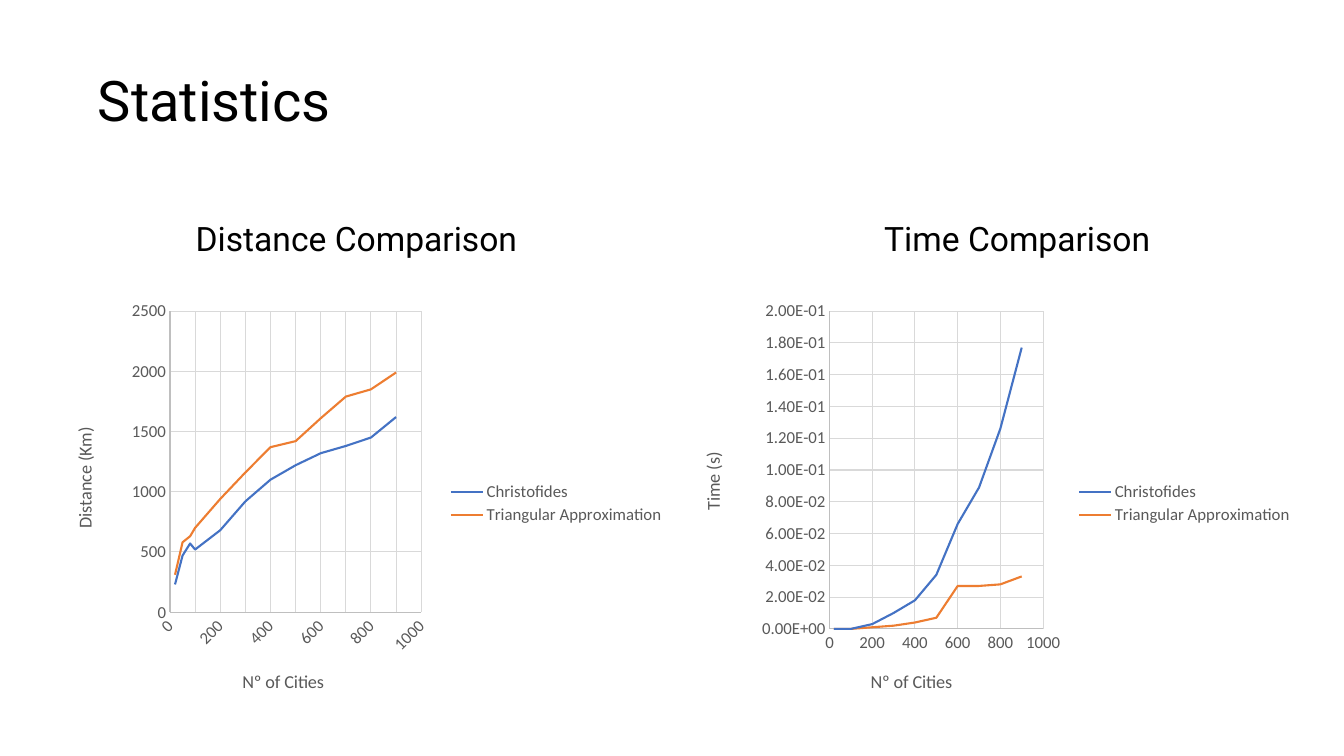
"""Build the Statistics slide with distance and time comparison charts."""
from lxml import etree
from pptx import Presentation
from pptx.chart.data import XyChartData
from pptx.dml.color import RGBColor
from pptx.enum import chart as ch, text as tx
from pptx.oxml import ns
from pptx.util import Inches, Pt

COLORS = {"title": "000000", "label": "595959", "axis": "BFBFBF", "grid": "D9D9D9",
          "Christofides": "4472C4", "Triangular Approximation": "ED7D31"}
CITIES = [20, 50, 80, 100, 200, 300, 400, 500, 600, 700, 800, 900]
COMPARISONS = [
    {"heading": "Distance Comparison", "heading_box": (1.62, 3.83), "left": 0.44,
     "unit": "Distance (Km)", "format": "General", "top": 2500, "step": 500,
     "city_step": 100, "rotation": -45, "plot": (0.2, 0.04, 0.4, 0.72),
     "unit_spot": (0.04, 0.31),
     "results": {
         "Christofides": [230, 470, 570, 520, 680, 920, 1100, 1220, 1320, 1380, 1450, 1620],
         "Triangular Approximation": [310, 580, 630, 700, 940, 1160, 1370, 1420, 1610,
                                      1790, 1850, 1990]}},
    {"heading": "Time Comparison", "heading_box": (8.46, 3.26), "left": 6.67,
     "unit": "Time (s)", "format": "0.00E+00", "top": 0.2, "step": 0.02,
     "city_step": 200, "rotation": 0, "plot": (0.25, 0.04, 0.34, 0.76),
     "unit_spot": (0.04, 0.37),
     "results": {
         "Christofides": [0, 0, 0, 0, 0.003, 0.01, 0.018, 0.034, 0.066, 0.089, 0.126, 0.177],
         "Triangular Approximation": [0, 0, 0, 0, 0.001, 0.002, 0.004, 0.007, 0.027,
                                      0.027, 0.028, 0.033]}},
]


def style(font, size, color, name):
    font.size, font.name, font.bold = Pt(size), name, False
    font.color.rgb = RGBColor.from_string(COLORS[color])


def place(part, index, spot, inner=False):
    for old in part.findall(ns.qn("c:layout")):
        part.remove(old)
    layout = etree.Element(ns.qn("c:layout"))
    manual = etree.SubElement(layout, ns.qn("c:manualLayout"))
    settings = [("layoutTarget", "inner")] if inner else []
    settings += [("xMode", "edge"), ("yMode", "edge"), *zip("xywh", spot)]
    for tag, value in settings:
        etree.SubElement(manual, ns.qn(f"c:{tag}")).set("val", str(value))
    part.insert(index, layout)


deck = Presentation()
deck.slide_width, deck.slide_height = Inches(13.33), Inches(7.5)
slide = deck.slides.add_slide(deck.slide_layouts[5])

headings = [(slide.shapes.title, "Statistics", 40, (0.72, 0.6, 2.81, 0.77))]
for comparison in COMPARISONS:
    left, width = comparison["heading_box"]
    box = [Inches(n) for n in (left, 2.11, width, 0.5)]
    headings.append((slide.shapes.add_textbox(*box), comparison["heading"], 24,
                     (left, 2.11, width, 0.5)))
for heading, words, size, box in headings:
    heading.left, heading.top, heading.width, heading.height = [Inches(n) for n in box]
    frame = heading.text_frame
    frame.text = words
    frame.word_wrap = True
    frame.vertical_anchor = tx.MSO_ANCHOR.TOP
    frame.paragraphs[0].alignment = tx.PP_ALIGN.CENTER
    style(frame.paragraphs[0].runs[0].font, size, "title", "Roboto")

for comparison in COMPARISONS:
    data = XyChartData()
    for algorithm, results in comparison["results"].items():
        points = data.add_series(algorithm)
        for cities, result in zip(CITIES, results):
            points.add_data_point(cities, result)
    chart = slide.shapes.add_chart(
        ch.XL_CHART_TYPE.XY_SCATTER_SMOOTH_NO_MARKERS, Inches(comparison["left"]),
        Inches(2.92), Inches(6.23), Inches(4.15), data).chart
    style(chart.font, 12, "label", "Calibri")
    chart.has_title = False
    chart.plots[0].vary_by_categories = False
    for curve in chart.plots[0].series:
        curve.smooth = True
        curve.marker.style = ch.XL_MARKER_STYLE.NONE
        curve.format.line.width = Pt(1.5)
        curve.format.line.color.rgb = RGBColor.from_string(COLORS[curve.name])

    chart.has_legend = True
    chart.legend.position = ch.XL_LEGEND_POSITION.RIGHT
    chart.legend.include_in_layout = False
    style(chart.legend.font, 12, "label", "Calibri")
    place(chart.legend._element, 1, (0.64, 0.44, 0.35, 0.12))
    place(chart.plots[0]._element.getparent(), 0, comparison["plot"], inner=True)

    axes = [
        (chart.category_axis, "Nº of Cities", (0.31, 0.89), 0, 1000,
         comparison["city_step"], "General", comparison["rotation"]),
        (chart.value_axis, comparison["unit"], comparison["unit_spot"], -90,
         comparison["top"], comparison["step"], comparison["format"], 0),
    ]
    for axis, caption, spot, turn, top, step, number_format, label_turn in axes:
        axis.minimum_scale, axis.maximum_scale, axis.major_unit = 0, top, step
        axis.major_tick_mark = axis.minor_tick_mark = ch.XL_TICK_MARK.NONE
        axis.has_major_gridlines = True
        for line, color in ((axis.format.line, "axis"),
                            (axis.major_gridlines.format.line, "grid")):
            line.width = Pt(0.75)
            line.color.rgb = RGBColor.from_string(COLORS[color])
        axis.tick_labels.number_format = number_format
        axis.tick_labels.number_format_is_linked = False
        style(axis.tick_labels.font, 12, "label", "Calibri")
        label_body = axis._element.find(f"{ns.qn('c:txPr')}/{ns.qn('a:bodyPr')}")
        label_body.set("rot", str(label_turn * 60000))
        frame = axis.axis_title.text_frame
        frame.text = caption
        style(frame.paragraphs[0].runs[0].font, 13, "label", "Calibri")
        title_body = frame._txBody.find(ns.qn("a:bodyPr"))
        title_body.set("rot", str(turn * 60000))
        title_body.set("vert", "horz")
        place(axis.axis_title._element, 1, spot)

deck.save("out.pptx")
